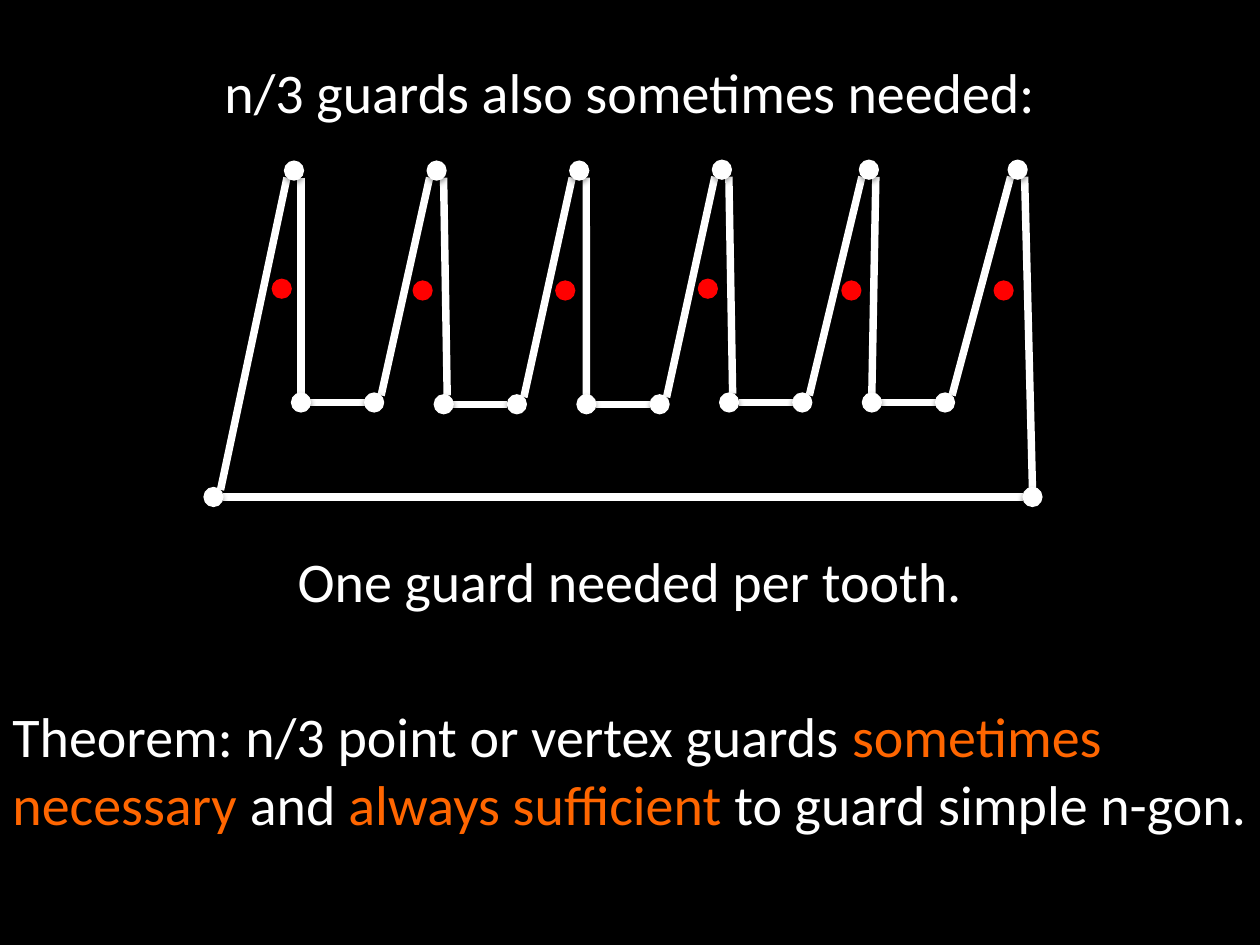
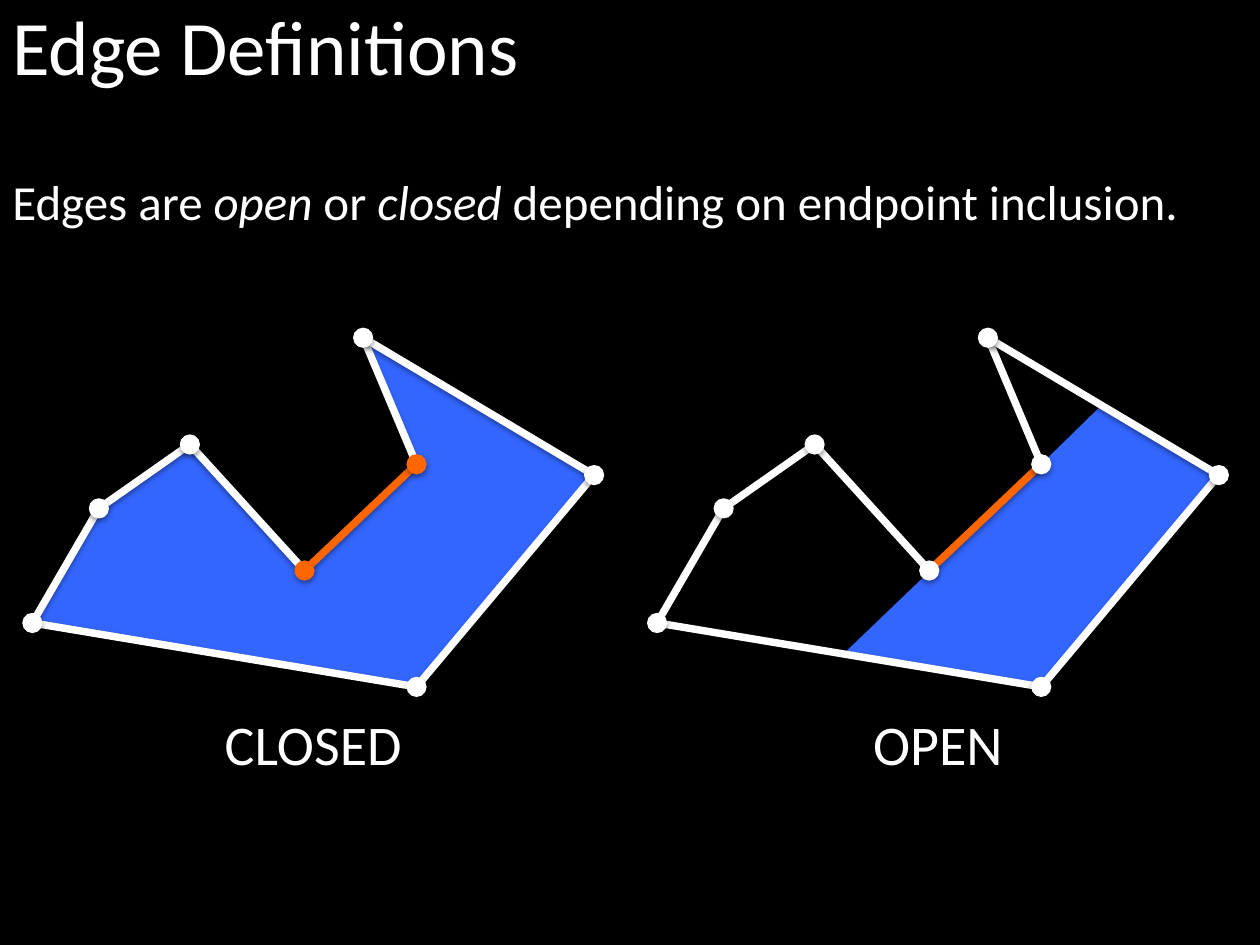
import pptx
import pptx.dml.color
import pptx.enum.shapes
import pptx.enum.text
import pptx.oxml
import pptx.util

Pt = pptx.util.Pt
RGBColor = pptx.dml.color.RGBColor
SHAPE = pptx.enum.shapes.MSO_SHAPE
LINK = pptx.enum.shapes.MSO_CONNECTOR
ALIGN = pptx.enum.text.PP_ALIGN

BLACK = RGBColor(0x00, 0x00, 0x00)
WHITE = RGBColor(0xFF, 0xFF, 0xFF)
RED = RGBColor(0xFF, 0x00, 0x00)
ORANGE = RGBColor(0xFF, 0x66, 0x00)
BLUE = RGBColor(0x33, 0x66, 0xFF)

WIDE, HIGH = 720, 540
DOT = 10.8
STROKE = 4.25
TITLE = {"name": "Calibri", "size": Pt(44)}
LARGE = {"name": "Calibri", "size": Pt(32)}
BODY = {"name": "Calibri", "size": Pt(28)}
SLANT = {"italic": True}

SHADOW = (
    '<a:effectLst xmlns:a="http://schemas.openxmlformats.org/drawingml/2006/main">'
    '<a:outerShdw blurRad="39370" dist="20320" dir="5400000" rotWithShape="0">'
    '<a:srgbClr val="000000"><a:alpha val="36000"/></a:srgbClr>'
    '</a:outerShdw></a:effectLst>'
)

TIPS = [(168, 97.5), (249.5, 97.5), (331, 97.5), (412.5, 97), (496.5, 97), (581.5, 97)]
GUARDS = [(161, 165), (241.5, 166), (323, 166), (404.5, 165), (486.5, 166), (573.5, 166)]
FLOORS = [230, 231, 231, 230, 230]
LEANS = [0, 2, 0, 2, 0, 0]
PITCH, GAP = 81.55, 41.8
BASE = [(122, 284), (590, 284)]

CORNERS = [(18.5, 356), (56.5, 290.5), (108.5, 254), (174, 326),
           (238, 265.3), (207.5, 193), (339.5, 271.5), (238, 392.5)]
VIEW = [CORNERS[4], (126.7, 372), (238, 391), CORNERS[6], (271.5, 232.5)]
EDGE = 3
ENDS = (EDGE, EDGE + 1)


def add_slide(deck):
    slide = deck.slides.add_slide(deck.slide_layouts[6])
    slide.background.fill.solid()
    slide.background.fill.fore_color.rgb = BLACK
    return slide


def add_text(slide, box, lines, style, align=ALIGN.LEFT):
    frame = slide.shapes.add_textbox(*map(Pt, box)).text_frame
    frame.word_wrap = True
    for row, runs in enumerate(lines):
        para = frame.paragraphs[0] if row == 0 else frame.add_paragraph()
        para.alignment = align
        for words, color, extra in runs:
            run = para.add_run()
            run.text = words
            run.font.color.rgb = color
            for key, value in {**style, **extra}.items():
                setattr(run.font, key, value)


def add_label(slide, box, words):
    add_text(slide, box, [[(words, WHITE, {})]], LARGE, ALIGN.CENTER)


def shade(item):
    item.element.spPr.append(pptx.oxml.parse_xml(SHADOW))


def add_line(slide, start, end, color=WHITE):
    line = slide.shapes.add_connector(LINK.STRAIGHT, *map(Pt, (*start, *end)))
    line.line.color.rgb = color
    line.line.width = Pt(STROKE)
    shade(line)


def add_dot(slide, spot, color=WHITE):
    x, y = spot
    dot = slide.shapes.add_shape(SHAPE.OVAL, Pt(x - DOT / 2), Pt(y - DOT / 2), Pt(DOT), Pt(DOT))
    dot.fill.solid()
    dot.fill.fore_color.rgb = color
    dot.line.color.rgb = color
    dot.line.width = Pt(0.75)
    shade(dot)


def add_patch(slide, spots):
    first, *rest = [(Pt(x), Pt(y)) for x, y in spots]
    pen = slide.shapes.build_freeform(*first)
    pen.add_line_segments(rest, close=True)
    patch = pen.convert_to_shape()
    patch.fill.solid()
    patch.fill.fore_color.rgb = BLUE
    patch.line.fill.background()
    shade(patch)


def move(spot, dx, dy=0):
    return spot[0] + dx, spot[1] + dy


def draw_comb(slide):
    lefts = [(172 + PITCH * i, y) for i, y in enumerate(FLOORS)]
    rights = [move(spot, GAP) for spot in lefts]
    starts = [BASE[0], *rights]
    stops = [*lefts, BASE[1]]
    for tip, start, stop, lean in zip(TIPS, starts, stops, LEANS):
        add_line(slide, move(tip, -4, 4), move(start, 4, -4))
        add_line(slide, move(tip, 4, 4), move(stop, lean, -5))
    for left, right in [*zip(lefts, rights), BASE]:
        add_line(slide, move(left, 5.4), move(right, -5.4))
    for spot in [*TIPS, *starts, *stops]:
        add_dot(slide, spot)
    for spot in GUARDS:
        add_dot(slide, spot, RED)


def draw_gon(slide, shift, area, ends, label):
    add_patch(slide, [move(spot, shift) for spot in area])
    spots = [move(spot, shift) for spot in CORNERS]
    for i, spot in enumerate(spots):
        after = spots[(i + 1) % len(spots)]
        add_line(slide, spot, after, ORANGE if i == EDGE else WHITE)
    for i, spot in enumerate(spots):
        add_dot(slide, spot, ends if i in ENDS else WHITE)
    add_label(slide, (13 + shift, 401.8, 332, 46), label)


def main():
    deck = pptx.Presentation()
    deck.slide_width, deck.slide_height = Pt(WIDE), Pt(HIGH)

    guards = add_slide(deck)
    add_label(guards, (0, 29.5, WIDE, 46), "n/3 guards also sometimes needed:")
    add_label(guards, (0, 308.9, WIDE, 46), "One guard needed per tooth.")
    draw_comb(guards)
    add_text(guards, (0, 397.5, WIDE, 85), [
        [("Theorem: n/3 point or vertex guards ", WHITE, {}), ("sometimes", ORANGE, {})],
        [("necessary", ORANGE, {}), (" and ", WHITE, {}),
         ("always sufficient ", ORANGE, {}), ("to guard simple n-gon.", WHITE, {})],
    ], LARGE)

    edges = add_slide(deck)
    add_text(edges, (0, -4.3, 670, 60.5), [[("Edge Definitions", WHITE, {})]], TITLE)
    add_text(edges, (0, 94.3, WIDE, 41), [
        [("Edges are ", WHITE, {}), ("open", WHITE, SLANT), (" or ", WHITE, {}),
         ("closed", WHITE, SLANT), (" depending on endpoint inclusion.", WHITE, {})],
    ], BODY)
    draw_gon(edges, 357, VIEW, WHITE, "OPEN")
    draw_gon(edges, 0, CORNERS, ORANGE, "CLOSED")

    deck.save("out.pptx")


if __name__ == "__main__":
    main()
